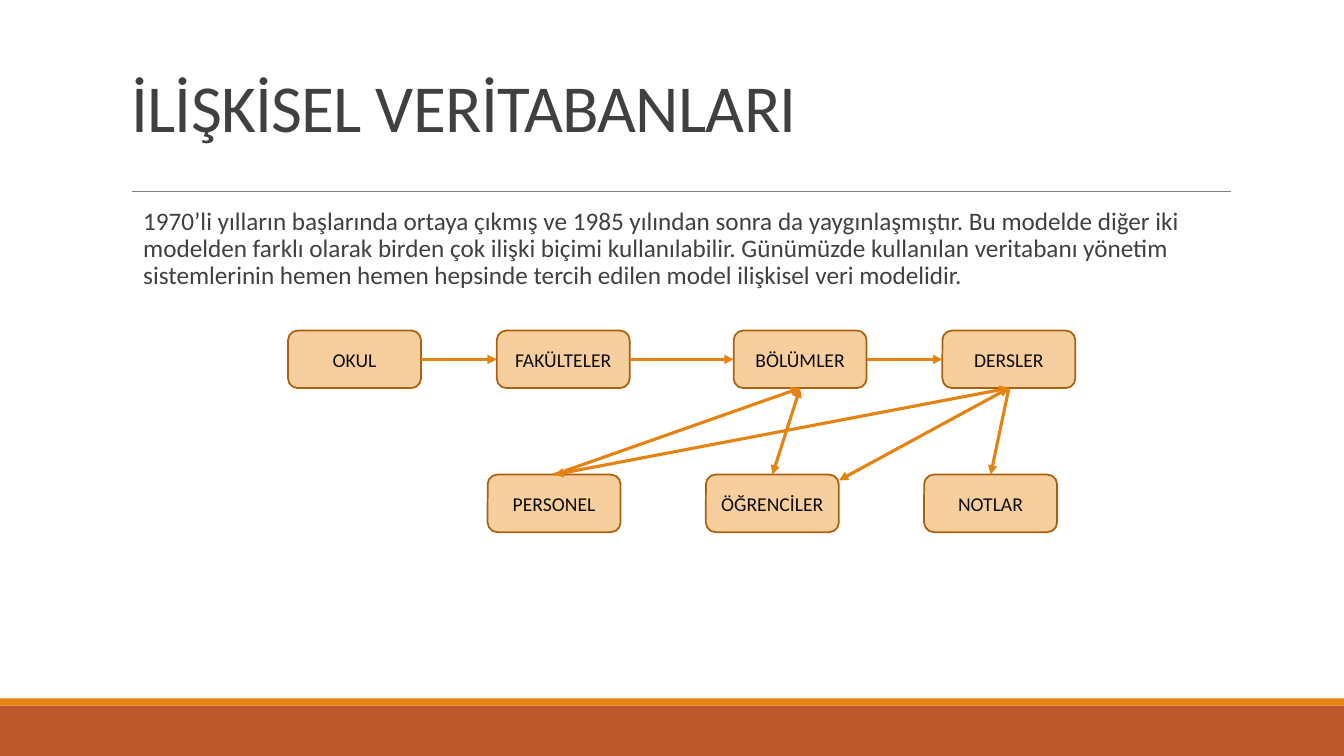
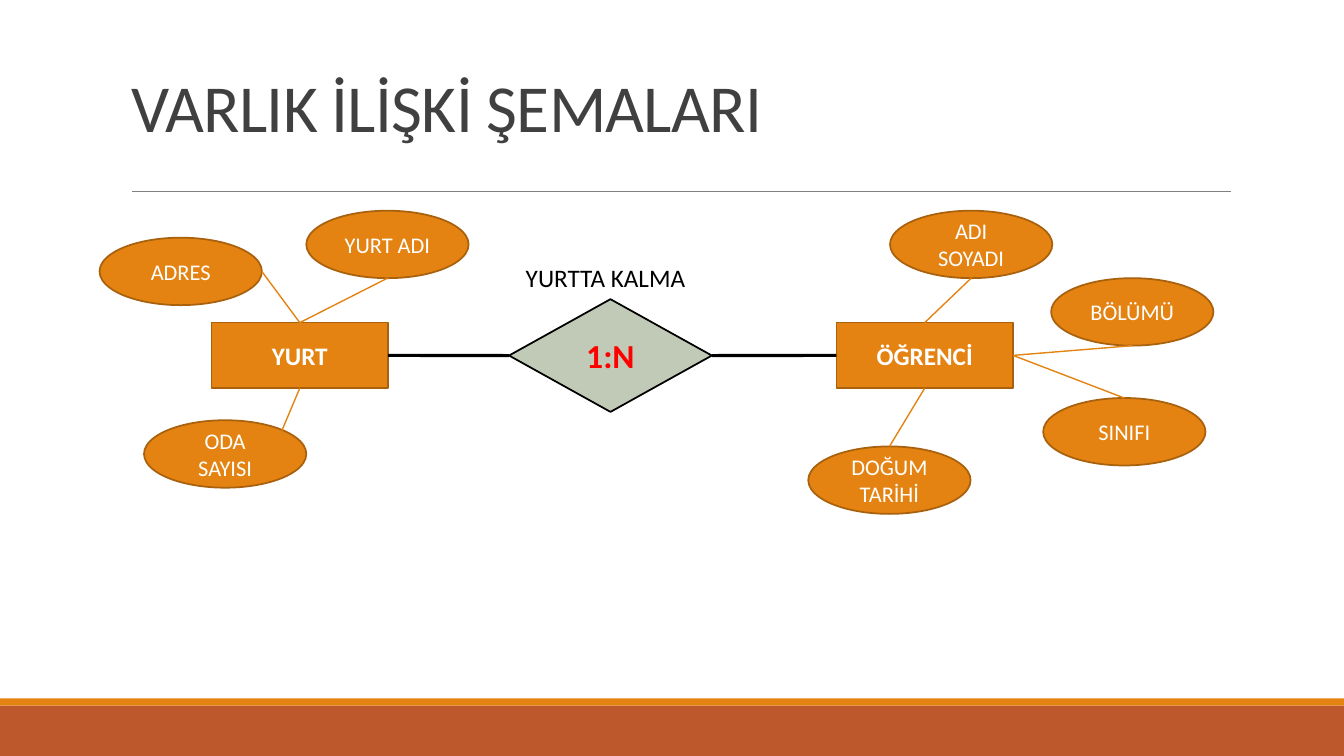
from lxml.etree import SubElement
from pptx import Presentation
from pptx.dml.color import RGBColor
from pptx.enum.shapes import MSO_CONNECTOR, MSO_SHAPE
from pptx.enum.text import MSO_ANCHOR, MSO_AUTO_SIZE, PP_ALIGN
from pptx.oxml.ns import qn
from pptx.util import Cm, Pt

FONT = "Calibri"
ORANGE = "E48312"
RUST = "BD582C"
OUTLINE = "A9610D"
PEACH = "F7CE9D"
SAGE = "C1CAB6"
GRAY = "404040"
RULE = "808080"
INK = "0D0D0D"
BLACK = "000000"
WHITE = "FFFFFF"
RED = "FF0000"

SLIDE_WIDTH, SLIDE_HEIGHT = 33.87, 19.05
BOX_EXTENT = (3.35, 1.45)
ENTITY_EXTENT = (4.45, 1.65)
ATTRIBUTE_EXTENT = (4.09, 1.7)

SITE_POSITIONS = {
    "top": (0.5, 0), "left": (0, 0.5), "bottom": (0.5, 1), "right": (1, 0.5),
    "top right": (0.85, 0.15),
}
BOX_SITES = ("top", "left", "bottom", "right")
OVAL_SITES = ("top", "top left", "left", "bottom left",
              "bottom", "bottom right", "right", "top right")


def color(value):
    return RGBColor.from_string(value)


def lengths(*values):
    return [Cm(value) for value in values]


def write_text(frame, text, size=18, text_color=GRAY, bold=False, align=PP_ALIGN.LEFT,
               anchor=MSO_ANCHOR.TOP, line_spacing=None, tracking=None):
    frame.auto_size = MSO_AUTO_SIZE.NONE
    frame.word_wrap = True
    frame.vertical_anchor = anchor
    paragraph = frame.paragraphs[0]
    paragraph.alignment = align
    if line_spacing:
        paragraph.line_spacing = line_spacing
    run = paragraph.add_run()
    run.text = text
    run.font.name = FONT
    run.font.size = Pt(size)
    run.font.bold = bold
    run.font.color.rgb = color(text_color)
    if tracking:
        run.font._element.set("spc", str(tracking))
    return paragraph


def add_node(slide, kind, position, extent, fill, text=None, line=OUTLINE, **text_format):
    shape = slide.shapes.add_shape(kind, *lengths(*position, *extent))
    shape.shadow.inherit = False
    shape.fill.solid()
    shape.fill.fore_color.rgb = color(fill)
    if line:
        shape.line.color.rgb = color(line)
        shape.line.width = Pt(1.25)
    else:
        shape.line.fill.background()
    if text:
        write_text(shape.text_frame, text, align=PP_ALIGN.CENTER,
                   anchor=MSO_ANCHOR.MIDDLE, **text_format)
    return shape


def add_line(slide, start, end, line_color, width, head=False, tail=False):
    connector = slide.shapes.add_connector(MSO_CONNECTOR.STRAIGHT, *start, *end)
    connector.line.color.rgb = color(line_color)
    connector.line.width = Pt(width)
    properties = connector._element.spPr
    outline = properties.find(qn("a:ln"))
    for tag, wanted in (("a:headEnd", head), ("a:tailEnd", tail)):
        if wanted:
            SubElement(outline, qn(tag), type="triangle")
    SubElement(properties, qn("a:effectLst"))
    return connector


def point_on(shape, site):
    across, down = SITE_POSITIONS.get(site, site)
    return (int(shape.left + across * shape.width), int(shape.top + down * shape.height))


def link(slide, first, first_site, second, second_site, line_color=ORANGE, width=2.25, **ends):
    connector = add_line(slide, point_on(first, first_site), point_on(second, second_site),
                         line_color, width, **ends)
    properties = connector._element.nvCxnSpPr.cNvCxnSpPr
    for tag, shape, site in (("a:stCxn", first, first_site), ("a:endCxn", second, second_site)):
        sites = OVAL_SITES if shape.auto_shape_type == MSO_SHAPE.OVAL else BOX_SITES
        if site in sites:
            SubElement(properties, qn(tag), id=str(shape.shape_id), idx=str(sites.index(site)))


def add_text_box(slide, position, extent, text, **text_format):
    box = slide.shapes.add_textbox(*lengths(*position, *extent))
    return box.text_frame, write_text(box.text_frame, text, **text_format)


def add_titled_slide(presentation, text):
    slide = presentation.slides.add_slide(presentation.slide_layouts[5])
    title = slide.shapes.title
    title.left, title.top, title.width, title.height = lengths(3.05, 0.79, 27.94, 4.04)
    write_text(title.text_frame, text, size=48, anchor=MSO_ANCHOR.MIDDLE,
               line_spacing=0.85, tracking=-50)
    for top, height, fill in ((17.78, 1.27, RUST), (17.6, 0.18, ORANGE)):
        add_node(slide, MSO_SHAPE.RECTANGLE, (0, top), (SLIDE_WIDTH, height), fill, line=None)
    add_line(slide, lengths(3.33, 4.83), lengths(31.01, 4.83), RULE, 0.5)
    return slide


def add_relational_slide(presentation):
    slide = add_titled_slide(presentation, "İLİŞKİSEL VERİTABANLARI")
    frame, paragraph = add_text_box(
        slide, (3.05, 5.13), (27.94, 11.18),
        "1970’li yılların başlarında ortaya çıkmış ve 1985 yılından sonra da yaygınlaşmıştır. "
        "Bu modelde diğer iki modelden farklı olarak birden çok ilişki biçimi kullanılabilir. "
        "Günümüzde kullanılan veritabanı yönetim sistemlerinin hemen hemen hepsinde tercih "
        "edilen model ilişkisel veri modelidir.",
        line_spacing=0.9)
    frame.margin_left, frame.margin_right = lengths(0.56, 0)
    paragraph.space_before, paragraph.space_after = Pt(2), Pt(4)

    rows = (
        (8.33, (("OKUL", 7.26), ("FAKÜLTELER", 12.52), ("BÖLÜMLER", 18.49), ("DERSLER", 23.75))),
        (11.96, [(name, 12.29 + 5.5 * index)
                 for index, name in enumerate(("PERSONEL", "ÖĞRENCİLER", "NOTLAR"))]),
    )
    boxes = {
        name: add_node(slide, MSO_SHAPE.ROUNDED_RECTANGLE, (left, top), BOX_EXTENT, PEACH,
                       name, size=14, text_color=INK)
        for top, row in rows for name, left in row
    }
    chain = [name for name, left in rows[0][1]]
    for first, second in zip(chain, chain[1:]):
        link(slide, boxes[first], "right", boxes[second], "left", tail=True)
    for first, first_site, second, second_site, head in (
        ("ÖĞRENCİLER", (1, 0.1), "DERSLER", "bottom", True),
        ("PERSONEL", "top", "BÖLÜMLER", "bottom", False),
        ("PERSONEL", "top", "DERSLER", "bottom", True),
        ("BÖLÜMLER", "bottom", "ÖĞRENCİLER", "top", True),
        ("DERSLER", "bottom", "NOTLAR", "top", False),
    ):
        link(slide, boxes[first], first_site, boxes[second], second_site, head=head, tail=True)


def add_entity_slide(presentation):
    slide = add_titled_slide(presentation, "VARLIK İLİŞKİ ŞEMALARI")
    dormitory, student = [
        add_node(slide, MSO_SHAPE.RECTANGLE, (left, 8.13), ENTITY_EXTENT, ORANGE,
                 name, text_color=WHITE, bold=True)
        for name, left in (("YURT", 5.33), ("ÖĞRENCİ", 21.08))
    ]
    relation = add_node(slide, MSO_SHAPE.DIAMOND, (12.83, 7.54), (5.11, 2.84), SAGE, "1:N",
                        line=BLACK, size=24, text_color=RED, bold=True)
    link(slide, dormitory, "right", relation, "left", BLACK)
    link(slide, relation, "right", student, "left", BLACK)
    for name, position, site, entity, entity_site in (
        ("YURT ADI", (7.72, 5.31), "bottom", dormitory, "top"),
        ("ADRES", (2.51, 5.99), "right", dormitory, "top"),
        ("ODA SAYISI", (3.63, 10.59), "top right", dormitory, "bottom"),
        ("ADI SOYADI", (22.43, 5.31), "bottom", student, "top"),
        ("BÖLÜMÜ", (26.49, 7.01), "bottom", student, "right"),
        ("SINIFI", (26.29, 10.03), "top", student, "right"),
        ("DOĞUM TARİHİ", (20.37, 11.25), "top", student, "bottom"),
    ):
        attribute = add_node(slide, MSO_SHAPE.OVAL, position, ATTRIBUTE_EXTENT, ORANGE,
                             name, size=16, text_color=WHITE)
        link(slide, attribute, site, entity, entity_site, width=1)
    add_text_box(slide, (13, 6.48), (4.7, 1.02), "YURTTA KALMA", text_color=BLACK)


def main():
    presentation = Presentation()
    presentation.slide_width, presentation.slide_height = lengths(SLIDE_WIDTH, SLIDE_HEIGHT)
    add_relational_slide(presentation)
    add_entity_slide(presentation)
    presentation.save("out.pptx")


if __name__ == "__main__":
    main()
